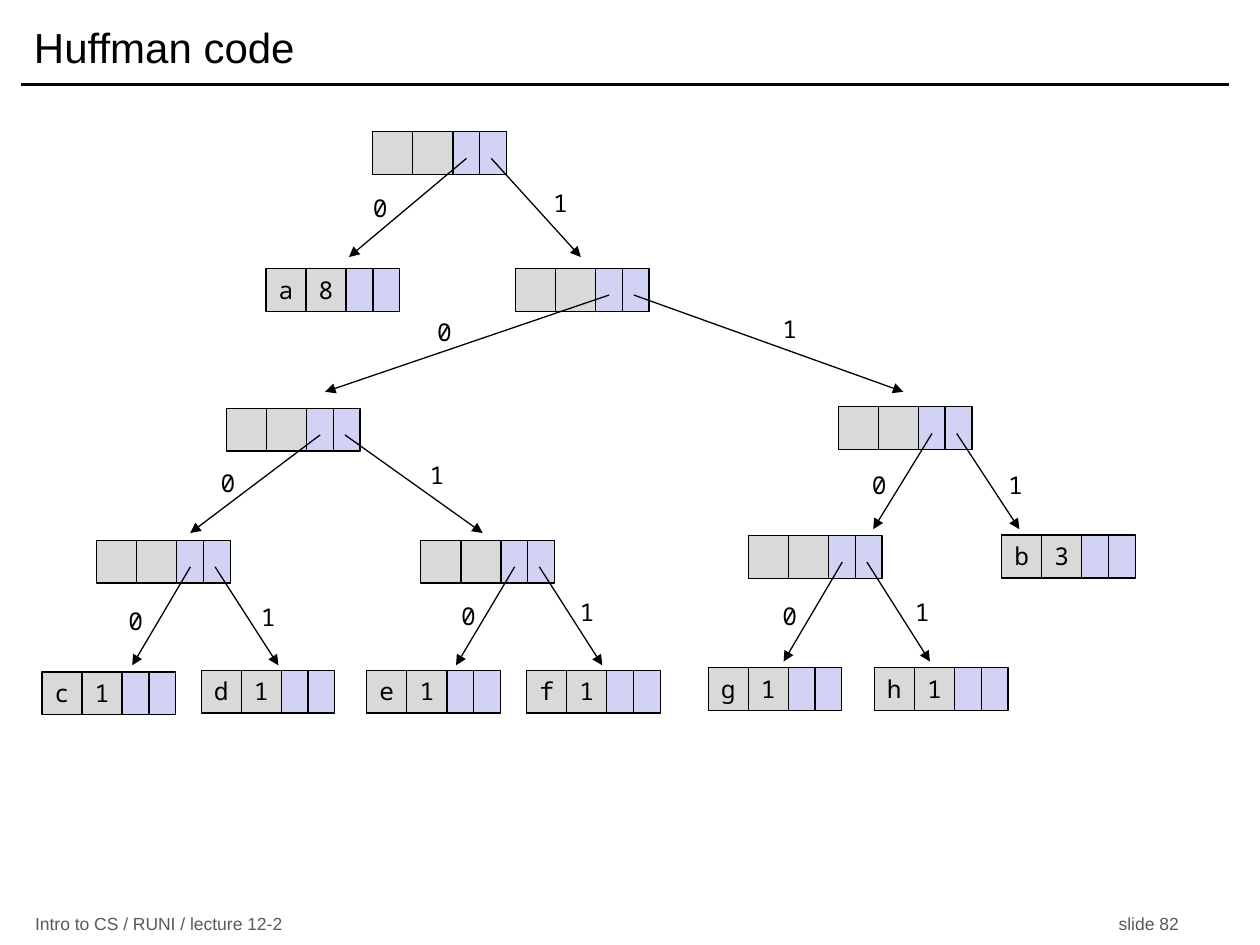
from dataclasses import dataclass

from lxml import etree
from pptx import Presentation
from pptx.dml.color import RGBColor
from pptx.enum import shapes, text
from pptx.oxml import ns
from pptx.util import Pt

BLACK = RGBColor(0x00, 0x00, 0x00)
WHITE = RGBColor(0xFF, 0xFF, 0xFF)
FOOTER_GRAY = RGBColor(0x59, 0x59, 0x59)
DATA_GRAY = RGBColor(0xD9, 0xD9, 0xD9)
POINTER_LILAC = RGBColor(0xD2, 0xD2, 0xF4)

SANS = "Arial"
MONO = "Noto Sans Mono"

DATA_WIDTH = 22.9
POINTER_WIDTH = 15.3
CELL_HEIGHT = 24.5
POINTER_X = (53.6, 67.7)  # where the 0 and 1 arrows leave a node
POINTER_Y = 15.2


@dataclass(frozen=True)
class Node:
    left: float
    top: float
    symbol: str = ""
    count: str = ""


@dataclass(frozen=True)
class Branch:
    parent: str
    bit: int
    tip: tuple[float, float]
    label: tuple[float, float]


NODES = {
    "root": Node(213, 75.3),
    "a": Node(152, 153.4, "a", "8"),
    "b-h": Node(294.5, 153.4),
    "c-f": Node(129.4, 233.3),
    "bgh": Node(479, 232.5),
    "cd": Node(55.2, 308.7),
    "ef": Node(240.5, 308.7),
    "gh": Node(427.7, 306),
    "b": Node(572.4, 305.8, "b", "3"),
    "c": Node(24, 384, "c", "1"),
    "d": Node(115, 383, "d", "1"),
    "e": Node(209.6, 383, "e", "1"),
    "f": Node(301, 383, "f", "1"),
    "g": Node(404.7, 381.5, "g", "1"),
    "h": Node(499.6, 381.5, "h", "1"),
}

BRANCHES = [
    Branch("root", 0, (199.4, 146.9), (205.9, 106.6)),
    Branch("root", 1, (331.9, 146.9), (308.9, 103.7)),
    Branch("b-h", 0, (185.8, 223.9), (242.6, 177.8)),
    Branch("b-h", 1, (516.2, 223.9), (439.9, 175.7)),
    Branch("c-f", 0, (108.7, 304.6), (118.8, 264.2)),
    Branch("c-f", 1, (275.8, 304.6), (238.3, 259.2)),
    Branch("bgh", 0, (499, 302.4), (491, 265)),
    Branch("bgh", 1, (582.5, 302.4), (568.8, 265)),
    Branch("cd", 0, (75.6, 380.2), (66.2, 342.7)),
    Branch("cd", 1, (159.1, 380.2), (141.8, 340.6)),
    Branch("ef", 0, (260.6, 380.2), (256.3, 339.8)),
    Branch("ef", 1, (344.2, 380.2), (324, 337.7)),
    Branch("gh", 0, (447.8, 378), (439.9, 339.8)),
    Branch("gh", 1, (531.4, 378), (515.5, 337.7)),
]


def style_font(paragraph, name: str, size: float, color: RGBColor) -> None:
    for run in paragraph.runs:
        run.font.name = name
        run.font.size = Pt(size)
        run.font.color.rgb = color


def write_code(shape, content: str) -> None:
    """Put a centred monospaced character into a cell or label."""
    frame = shape.text_frame
    frame.text = content
    frame.word_wrap = True
    frame.vertical_anchor = text.MSO_ANCHOR.TOP
    frame.margin_left = frame.margin_right = 0
    frame.paragraphs[0].alignment = text.PP_ALIGN.CENTER
    style_font(frame.paragraphs[0], MONO, 14, BLACK)


def draw_node(slide, node: Node) -> None:
    group = slide.shapes.add_group_shape()
    left = node.left
    cells = [
        (DATA_WIDTH, DATA_GRAY, node.symbol),
        (DATA_WIDTH, DATA_GRAY, node.count),
        (POINTER_WIDTH, POINTER_LILAC, ""),
        (POINTER_WIDTH, POINTER_LILAC, ""),
    ]
    for width, color, content in cells:
        cell = group.shapes.add_shape(
            shapes.MSO_SHAPE.RECTANGLE,
            Pt(left), Pt(node.top), Pt(width), Pt(CELL_HEIGHT),
        )
        cell.shadow.inherit = False
        cell.fill.solid()
        cell.fill.fore_color.rgb = color
        cell.line.color.rgb = BLACK
        cell.line.width = Pt(0.75)
        if content:
            write_code(cell, content)
        left += width


def draw_line(slide, start: tuple[float, float], end: tuple[float, float],
              width: float, arrow: bool = False) -> None:
    line = slide.shapes.add_connector(
        shapes.MSO_CONNECTOR.STRAIGHT, *map(Pt, (*start, *end)))
    line.line.color.rgb = BLACK
    line.line.width = Pt(width)
    properties = line._element.spPr
    if arrow:
        outline = properties.find(ns.qn("a:ln"))
        etree.SubElement(outline, ns.qn("a:tailEnd"), type="triangle")
    etree.SubElement(properties, ns.qn("a:effectLst"))


def draw_branch(slide, branch: Branch) -> None:
    parent = NODES[branch.parent]
    start = (parent.left + POINTER_X[branch.bit], parent.top + POINTER_Y)
    draw_line(slide, start, branch.tip, 0.75, arrow=True)
    label = slide.shapes.add_textbox(
        *map(Pt, (*branch.label, DATA_WIDTH, CELL_HEIGHT)))
    write_code(label, str(branch.bit))


def add_title(slide) -> None:
    title = slide.shapes.title
    title.left, title.top = Pt(12.2), Pt(5.8)
    title.width, title.height = Pt(689.8), Pt(41.8)
    frame = title.text_frame
    frame.text = "Huffman code"
    frame.auto_size = text.MSO_AUTO_SIZE.NONE
    frame.vertical_anchor = text.MSO_ANCHOR.MIDDLE
    frame.paragraphs[0].alignment = text.PP_ALIGN.LEFT
    style_font(frame.paragraphs[0], SANS, 24, BLACK)


def add_footer(slide) -> None:
    footer = slide.shapes.add_textbox(Pt(13), Pt(520.6), Pt(678), Pt(13.7))
    frame = footer.text_frame
    frame.word_wrap = True
    frame.vertical_anchor = text.MSO_ANCHOR.MIDDLE
    paragraph = frame.paragraphs[0]
    paragraph.text = "Intro to CS / RUNI / lecture 12-2\tslide 82"
    tabs = etree.SubElement(
        paragraph._p.get_or_add_pPr(), ns.qn("a:tabLst"))
    etree.SubElement(tabs, ns.qn("a:tab"), pos=str(Pt(653.5)), algn="r")
    style_font(paragraph, SANS, 10, FOOTER_GRAY)


def main() -> None:
    presentation = Presentation()
    presentation.slide_width, presentation.slide_height = Pt(720), Pt(540)
    slide = presentation.slides.add_slide(presentation.slide_layouts[5])
    slide.background.fill.solid()
    slide.background.fill.fore_color.rgb = WHITE
    draw_line(slide, (12.2, 48.2), (702, 48.2), 2)
    add_footer(slide)
    add_title(slide)
    for node in NODES.values():
        draw_node(slide, node)
    for branch in BRANCHES:
        draw_branch(slide, branch)
    presentation.save("out.pptx")


if __name__ == "__main__":
    main()
